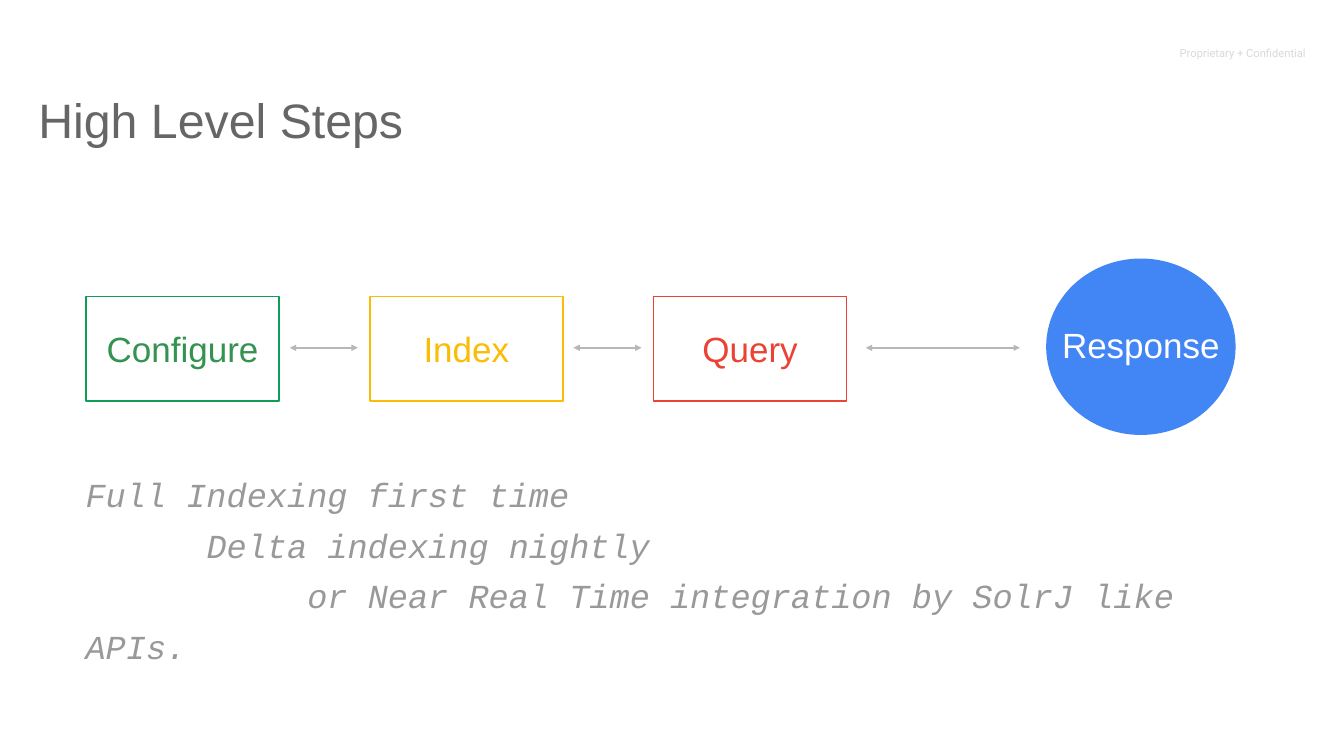
from pptx import Presentation
from pptx.dml.color import RGBColor
from pptx.enum.shapes import MSO_CONNECTOR, MSO_SHAPE
from pptx.enum.text import MSO_ANCHOR, MSO_AUTO_SIZE, PP_ALIGN
from pptx.oxml.ns import qn
from pptx.util import Inches, Pt
from lxml import etree

GREY = "B7B7B7"
STEPS = [  # label, outline, text colour
    ("Configure", "0F9D58", "349351"),
    ("Index", "FBBC05", "FBBC05"),
    ("Query", "EA4335", "EA4335"),
]
NOTES = [  # text, first-line indent in characters
    ("Full Indexing first time", 0),
    ("Delta indexing nightly", 6),
    ("or Near Real Time integration by SolrJ like APIs.", 11),
]
CHAR_W = 0.4  # width of one 48 pt monospaced character


def rgb(value):
    return RGBColor.from_string(value)


def place(sp, box):
    sp.left, sp.top, sp.width, sp.height = (Inches(v) for v in box)


def set_frame(tf, inset, anchor=MSO_ANCHOR.TOP):
    tf.word_wrap = True
    tf.auto_size = MSO_AUTO_SIZE.NONE
    tf.vertical_anchor = anchor
    tf.margin_left = tf.margin_right = Inches(inset)
    tf.margin_top = tf.margin_bottom = Inches(inset)


def style(p, size, color, font="Arial", align=PP_ALIGN.LEFT, italic=False):
    p.alignment = align
    for r in p.runs:
        r.font.size = Pt(size)
        r.font.name = font
        r.font.italic = italic
        r.font.color.rgb = rgb(color)


def add_title(slide, box):
    sp = slide.shapes.title
    place(sp, box)
    set_frame(sp.text_frame, 0.27)
    sp.text_frame.text = "High Level Steps"
    style(sp.text_frame.paragraphs[0], 69, "666666")


def add_label(slide, box):
    tf = slide.shapes.add_textbox(*(Inches(v) for v in box)).text_frame
    set_frame(tf, 0.27)
    tf.text = "Proprietary + Confidential"
    style(tf.paragraphs[0], 16, "D9D9D9", "Roboto")


def add_node(slide, kind, box, text, color, fill=None, line=None, inset=0.1):
    sp = slide.shapes.add_shape(kind, *(Inches(v) for v in box))
    sp.shadow.inherit = False
    if fill:
        sp.fill.solid()
        sp.fill.fore_color.rgb = rgb(fill)
    else:
        sp.fill.background()
    if line:
        sp.line.color.rgb = rgb(line)
        sp.line.width = Pt(2.25)
    else:
        sp.line.fill.background()
    set_frame(sp.text_frame, inset, MSO_ANCHOR.MIDDLE)
    sp.text_frame.word_wrap = False
    sp.text_frame.text = text
    p = sp.text_frame.paragraphs[0]
    style(p, 50, color, align=PP_ALIGN.CENTER)
    return p


def add_arrow(slide, x1, x2, y):
    cx = slide.shapes.add_connector(
        MSO_CONNECTOR.STRAIGHT, Inches(x1), Inches(y), Inches(x2), Inches(y))
    cx.line.color.rgb = rgb(GREY)
    cx.line.width = Pt(3)
    ln = cx.line._get_or_add_ln()
    for end in ("a:headEnd", "a:tailEnd"):
        etree.SubElement(ln, qn(end), type="triangle")
    etree.SubElement(cx._element.spPr, qn("a:effectLst"))


def add_flow(slide, box):
    left, top, width, height = box
    box_w, box_h, step, gap = 3.83, 2.08, 5.63, 0.21
    arrow_y = top + 1.77
    # Steps, each followed by a two-way arrow
    for i, (text, line, color) in enumerate(STEPS):
        x = left + i * step
        add_node(slide, MSO_SHAPE.RECTANGLE, (x, top + 0.75, box_w, box_h),
                 text, color, line=line)
        if i < len(STEPS) - 1:
            add_arrow(slide, x + box_w + gap, x + step - gap - 0.03, arrow_y)
    # Response, reached by a longer arrow
    circle_w = 3.76
    circle_x = left + width - circle_w
    add_arrow(slide, x + box_w + 0.38, circle_x - 0.52, arrow_y)
    p = add_node(slide, MSO_SHAPE.OVAL, (circle_x, top, circle_w, height),
                 "Response", "FFFFFF", fill="4285F4", inset=0)
    p.line_spacing = 0.9


def add_notes_text(slide, box):
    tf = slide.shapes.add_textbox(*(Inches(v) for v in box)).text_frame
    set_frame(tf, 0.1)
    for i, (text, chars) in enumerate(NOTES):
        p = tf.add_paragraph() if i else tf.paragraphs[0]
        p.text = text
        p.line_spacing = 1.25
        style(p, 48, "999999", "Courier New", italic=True)
        # Only the first line is indented; wrapped lines return to the margin
        pPr = p._p.get_or_add_pPr()
        pPr.set("marL", "0")
        pPr.set("indent", str(Inches(chars * CHAR_W)))


def main():
    prs = Presentation()
    prs.slide_width, prs.slide_height = Inches(26.67), Inches(15)
    slide = prs.slides.add_slide(prs.slide_layouts[5])
    add_label(slide, (23.14, 0.64, 3.53, 0.8))
    add_title(slide, (0.49, 1.52, 19.29, 2.2))
    add_flow(slide, (1.71, 5.13, 22.81, 3.5))
    add_notes_text(slide, (1.6, 9.11, 22.24, 4.86))
    prs.save("out.pptx")


if __name__ == "__main__":
    main()
